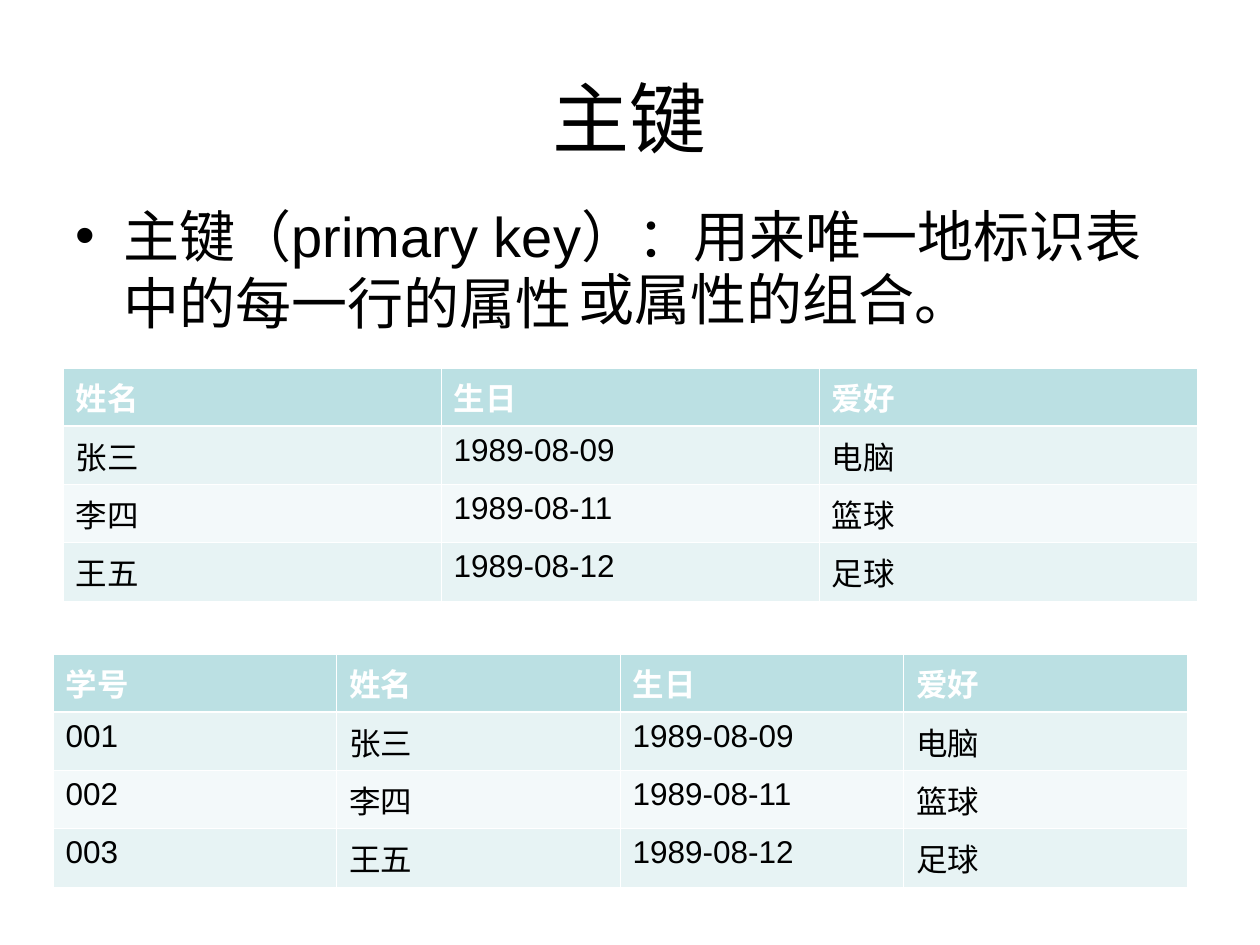
import dataclasses

import lxml.etree
import pptx
import pptx.dml.color
import pptx.enum.text
import pptx.oxml.ns
import pptx.util


@dataclasses.dataclass(frozen=True)
class Theme:
    font: str = "Arial"
    ink: str = "000000"
    paper: str = "FFFFFF"
    header: str = "BBE0E3"
    bands: tuple = ("E7F3F4", "F3F9FA")
    title_size: int = 44
    body_size: int = 32
    table_size: int = 18
    thin_rule: float = 0.45
    header_rule: float = 1.47


THEME = Theme()
WIDTH, HEIGHT = 10, 7.5
MARGIN = 0.5
CONTENT_WIDTH = WIDTH - 2 * MARGIN
ROW_HEIGHT = 0.46

HEADINGS = ["姓名", "生日", "爱好"]
PEOPLE = [
    ["张三", "1989-08-09", "电脑"],
    ["李四", "1989-08-11", "篮球"],
    ["王五", "1989-08-12", "足球"],
]


def inches(box):
    return [pptx.util.Inches(length) for length in box]


def colour(value):
    return pptx.dml.color.RGBColor.from_string(value)


def add_child(parent, tag, **attributes):
    return lxml.etree.SubElement(parent, pptx.oxml.ns.qn(tag), attributes)


def add_span(para, text, size, ink=THEME.ink, bold=False):
    span = para.add_run()
    span.text = text
    span.font.name = THEME.font
    span.font.size = pptx.util.Pt(size)
    span.font.bold = bold
    span.font.color.rgb = colour(ink)


def place(shape, box):
    shape.left, shape.top, shape.width, shape.height = inches(box)


def prepare_text(shape, anchor):
    """Turn on wrapping, fix the text size and return the first paragraph."""
    frame = shape.text_frame
    frame.word_wrap = True
    frame.auto_size = pptx.enum.text.MSO_AUTO_SIZE.NONE
    frame.vertical_anchor = anchor
    para = frame.paragraphs[0]
    para.space_before = pptx.util.Pt(0)
    return para


def fill_title(page, box, text):
    title = page.shapes.title
    place(title, box)
    para = prepare_text(title, pptx.enum.text.MSO_ANCHOR.MIDDLE)
    para.alignment = pptx.enum.text.PP_ALIGN.CENTER
    add_span(para, text, THEME.title_size)


def fill_definition(page, box, text):
    body = page.placeholders[1]
    place(body, box)
    para = prepare_text(body, pptx.enum.text.MSO_ANCHOR.TOP)
    properties = para._p.get_or_add_pPr()
    indent = pptx.util.Inches(0.38)
    properties.set("marL", str(indent))
    properties.set("indent", str(-indent))
    bullet_colour = add_child(properties, "a:buClr")
    add_child(bullet_colour, "a:srgbClr", val=THEME.ink)
    add_child(properties, "a:buFont", typeface=THEME.font)
    add_child(properties, "a:buChar", char="•")
    add_span(para, text, THEME.body_size)


def add_continuation(page, box, text):
    note = page.shapes.add_textbox(*inches(box))
    para = prepare_text(note, pptx.enum.text.MSO_ANCHOR.TOP)
    add_span(para, text, THEME.body_size)


def add_borders(cell, top, bottom):
    properties = cell._tc.get_or_add_tcPr()
    edges = {"a:lnL": THEME.thin_rule, "a:lnR": THEME.thin_rule,
             "a:lnT": top, "a:lnB": bottom}
    for tag, weight in edges.items():
        line = add_child(properties, tag, w=str(pptx.util.Pt(weight)))
        fill = add_child(line, "a:solidFill")
        add_child(fill, "a:srgbClr", val=THEME.paper)


def add_record_table(page, box, records):
    """Add a table whose first record is the header; the rest are banded."""
    columns = len(records[0])
    table = page.shapes.add_table(len(records), columns, *inches(box)).table
    for column in table.columns:
        column.width = pptx.util.Inches(box[2] / columns)
    for row, record in enumerate(records):
        is_header = row == 0
        table.rows[row].height = pptx.util.Inches(box[3] / len(records))
        fill = THEME.header if is_header else THEME.bands[(row - 1) % 2]
        ink = THEME.paper if is_header else THEME.ink
        top = THEME.header_rule if row == 1 else THEME.thin_rule
        bottom = THEME.header_rule if is_header else THEME.thin_rule
        for column, text in enumerate(record):
            cell = table.cell(row, column)
            add_borders(cell, top, bottom)
            cell.fill.solid()
            cell.fill.fore_color.rgb = colour(fill)
            add_span(cell.text_frame.paragraphs[0], text, THEME.table_size,
                     ink, is_header)


def build_primary_key_page(deck):
    page = deck.slides.add_slide(deck.slide_layouts[1])
    page.background.fill.solid()
    page.background.fill.fore_color.rgb = colour(THEME.paper)

    title_top, title_height = 0.04 * HEIGHT, HEIGHT / 6
    body_top = title_top + title_height
    table_height = (len(PEOPLE) + 1) * ROW_HEIGHT
    fill_title(page, (MARGIN, title_top, CONTENT_WIDTH, title_height), "主键")
    fill_definition(page, (MARGIN, body_top, CONTENT_WIDTH, 0.66 * HEIGHT),
                    "主键（primary key）：用来唯一地标识表中的每一行的属性")

    numbered = [[f"{number:03}", *person]
                for number, person in enumerate(PEOPLE, start=1)]
    add_record_table(page, (MARGIN, 2.92, CONTENT_WIDTH, table_height),
                     [HEADINGS, *PEOPLE])
    add_record_table(page, (0.42, 5.19, CONTENT_WIDTH, table_height),
                     [["学号", *HEADINGS], *numbered])
    add_continuation(page, (4.49, 2.05, 3.81, 0.57), "或属性的组合。")


def main():
    deck = pptx.Presentation()
    deck.slide_width, deck.slide_height = inches((WIDTH, HEIGHT))
    build_primary_key_page(deck)
    deck.save("out.pptx")


if __name__ == "__main__":
    main()
